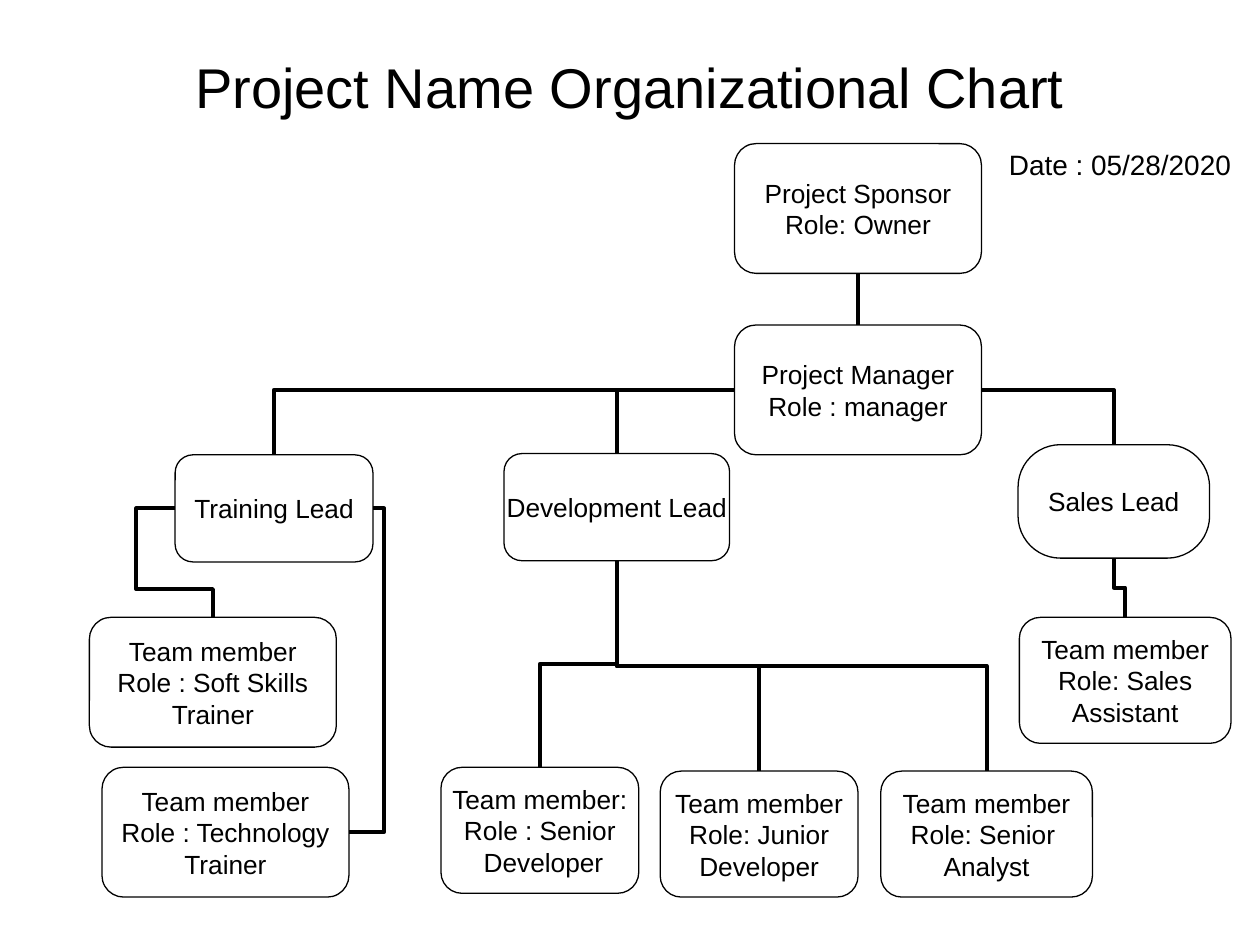
import pptx
import pptx.dml.color
import pptx.enum.shapes
import pptx.enum.text
import pptx.oxml.ns
import pptx.util
from dataclasses import dataclass
from lxml import etree
from typing import Optional

Inches = pptx.util.Inches
Align = pptx.enum.text.PP_ALIGN
Connector = pptx.enum.shapes.MSO_CONNECTOR
BLACK, WHITE = "000000", "FFFFFF"
TOP, LEFT, BOTTOM, RIGHT = range(4)


@dataclass
class Role:
    text: str
    left: float
    top: float
    width: float
    height: float
    fill: Optional[str] = None
    rounding: float = 0.167

    def side(self, site: int) -> tuple[float, float]:
        """Middle of one side, numbered like the connection sites."""
        across, down = [(0.5, 0), (0, 0.5), (0.5, 1), (1, 0.5)][site]
        return self.left + across * self.width, self.top + down * self.height


@dataclass
class Link:
    upper: Role
    upper_site: int
    lower: Role
    lower_site: int
    preset: str
    bends: tuple = ()


def color(value: str):
    return pptx.dml.color.RGBColor.from_string(value)


def write_text(paragraph, text: str, *, size: float, align=Align.CENTER,
               before: float = 0, ink: str = BLACK) -> None:
    paragraph.alignment = align
    paragraph.space_before = pptx.util.Pt(before)
    run = paragraph.add_run()
    run.text = text
    run.font.name = "Arial"
    run.font.size = pptx.util.Pt(size)
    run.font.color.rgb = color(ink)


def draw_role(slide, role: Role):
    shape = slide.shapes.add_shape(
        pptx.enum.shapes.MSO_SHAPE.ROUNDED_RECTANGLE,
        Inches(role.left), Inches(role.top), Inches(role.width), Inches(role.height))
    shape.shadow.inherit = False
    shape.adjustments[0] = role.rounding
    if role.fill:
        shape.fill.solid()
        shape.fill.fore_color.rgb = color(role.fill)
    else:
        shape.fill.background()
    shape.line.color.rgb = color(BLACK)
    shape.line.width = pptx.util.Pt(0.75)
    frame = shape.text_frame
    frame.word_wrap = False
    frame.vertical_anchor = pptx.enum.text.MSO_ANCHOR.MIDDLE
    frame.margin_left = frame.margin_right = frame.margin_top = frame.margin_bottom = 0
    for index, line in enumerate(role.text.split("\n")):
        paragraph = frame.add_paragraph() if index else frame.paragraphs[0]
        write_text(paragraph, line, size=15)
    return shape


def draw_line(slide, kind, start: tuple[float, float], end: tuple[float, float]):
    line = slide.shapes.add_connector(kind, *map(Inches, (*start, *end)))
    line.line.color.rgb = color(BLACK)
    line.line.width = pptx.util.Pt(2.25)
    etree.SubElement(line._element.spPr, pptx.oxml.ns.qn("a:effectLst"))
    return line


def draw_elbow(slide, link: Link) -> None:
    start = link.upper.side(link.upper_site)
    end = link.lower.side(link.lower_site)
    downward = link.upper_site == BOTTOM
    if downward:
        # An elbow leaves sideways, so lay it flat about its centre and turn it
        mid_x, mid_y = (start[0] + end[0]) / 2, (start[1] + end[1]) / 2
        start, end = [(mid_x + y - mid_y, mid_y - x + mid_x) for x, y in (start, end)]
    elbow = draw_line(slide, Connector.ELBOW, start, end)
    properties = elbow._element.spPr
    if downward:
        properties.find(pptx.oxml.ns.qn("a:xfrm")).set("rot", str(90 * 60000))
    geometry = properties.find(pptx.oxml.ns.qn("a:prstGeom"))
    geometry.set("prst", link.preset)
    guides = geometry.find(pptx.oxml.ns.qn("a:avLst"))
    for number, bend in enumerate(link.bends, 1):
        etree.SubElement(guides, pptx.oxml.ns.qn("a:gd"), name=f"adj{number}",
                         fmla=f"val {round(bend * 100000)}")


# Sponsor, manager and leads
sponsor = Role("Project Sponsor\nRole: Owner", 5.83, 1.14, 1.96, 1.03)
manager = Role("Project Manager\nRole : manager", 5.83, 2.58, 1.96, 1.03)
development = Role("Development Lead", 4, 3.6, 1.79, 0.85)
training = Role("Training Lead", 1.39, 3.61, 1.57, 0.85)
sales = Role("Sales Lead", 8.08, 3.53, 1.52, 0.9, rounding=0.373)

# Team members
soft_skills = Role("Team member\nRole : Soft Skills\nTrainer", 0.71, 4.9, 1.96, 1.03, WHITE)
technology = Role("Team member\nRole : Technology\nTrainer", 0.81, 6.09, 1.96, 1.03, WHITE)
senior = Role("Team member:\nRole : Senior\n Developer", 3.5, 6.09, 1.57, 1, WHITE)
junior = Role("Team member\nRole: Junior\nDeveloper", 5.24, 6.12, 1.57, 1, WHITE)
analyst = Role("Team member\nRole: Senior \nAnalyst", 6.99, 6.12, 1.68, 1, WHITE)
assistant = Role("Team member\nRole: Sales\nAssistant", 8.09, 4.9, 1.68, 1, WHITE)

ROLES = [sponsor, manager, development, training, sales, soft_skills,
         technology, senior, junior, analyst, assistant]
LINKS = [
    Link(manager, LEFT, training, TOP, "bentConnector2"),
    Link(manager, LEFT, development, TOP, "bentConnector2"),
    Link(manager, RIGHT, sales, TOP, "bentConnector2"),
    Link(training, LEFT, soft_skills, TOP, "bentConnector4", (-1.03, 0.74)),
    Link(training, RIGHT, technology, RIGHT, "bentConnector3", (-0.46,)),
    *(Link(development, BOTTOM, member, TOP, "bentConnector3", (0.5,))
      for member in (senior, junior, analyst)),
    Link(sales, BOTTOM, assistant, TOP, "bentConnector3", (0.5,)),
]


def main() -> None:
    deck = pptx.Presentation()
    deck.slide_width, deck.slide_height = Inches(10), Inches(7.5)
    slide = deck.slides.add_slide(deck.slide_layouts[5])

    # Title with the date below it
    title = slide.shapes.title
    title.left, title.top, title.width, title.height = map(Inches, (0, 0.3, 10, 1.25))
    heading = title.text_frame
    heading.auto_size = pptx.enum.text.MSO_AUTO_SIZE.NONE
    heading.vertical_anchor = pptx.enum.text.MSO_ANCHOR.MIDDLE
    heading.margin_left = heading.margin_right = Inches(0.23)
    write_text(heading.paragraphs[0], "Project Name Organizational Chart", size=32)
    write_text(heading.add_paragraph(), "Date : 05/28/2020", size=16,
               align=Align.RIGHT, before=16)

    # Boxes, then the lines between them
    shapes = [draw_role(slide, role) for role in ROLES]
    for link in LINKS:
        draw_elbow(slide, link)
    reporting = draw_line(slide, Connector.STRAIGHT, sponsor.side(BOTTOM), manager.side(TOP))
    reporting.begin_connect(shapes[0], BOTTOM)
    reporting.end_connect(shapes[1], TOP)

    deck.save("out.pptx")


if __name__ == "__main__":
    main()
